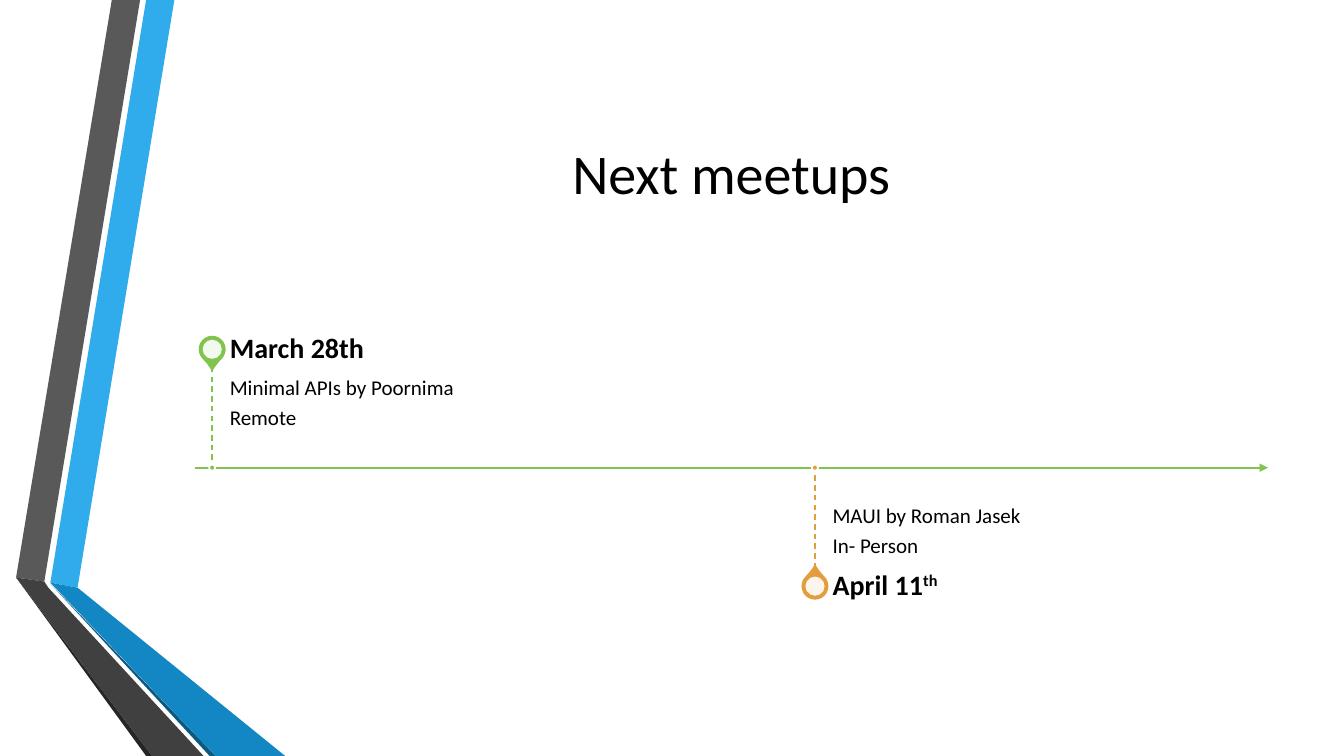
from lxml import etree
from pptx import Presentation
from pptx.dml.color import RGBColor
from pptx.enum.dml import MSO_LINE
from pptx.enum.shapes import MSO_CONNECTOR, MSO_SHAPE
from pptx.enum.text import MSO_ANCHOR, PP_ALIGN
from pptx.oxml.ns import qn
from pptx.util import Inches, Pt

LINE, OVAL, TEAR = MSO_CONNECTOR.STRAIGHT, MSO_SHAPE.OVAL, MSO_SHAPE.TEAR
DASH = MSO_LINE.DASH
TOP, MIDDLE, BOTTOM = MSO_ANCHOR.TOP, MSO_ANCHOR.MIDDLE, MSO_ANCHOR.BOTTOM
CENTER = PP_ALIGN.CENTER

BLACK = RGBColor(0x00, 0x00, 0x00)
WHITE = RGBColor(0xFF, 0xFF, 0xFF)
GREEN = RGBColor(0x80, 0xC3, 0x4F)
ORANGE = RGBColor(0xE2, 0x9D, 0x3E)
SKY = RGBColor(0x30, 0xAC, 0xEC)
BLUE = RGBColor(0x12, 0x87, 0xC3)
NAVY = RGBColor(0x0C, 0x5A, 0x82)
GRAY = RGBColor(0x59, 0x59, 0x59)
DARK = RGBColor(0x40, 0x40, 0x40)
COAL = RGBColor(0x26, 0x26, 0x26)
FONT = "Calibri"

# Lengths are cells of a square grid, ten to the inch.
WIDE, HIGH = 133.33, 75
LEFT, SPAN = 19.3, 106.5
AXIS = 46.4
STEM, HEAD = 10, 3.5
TEXT_GAP, TEXT_WIDE = 1.75, 38.7

RIBBONS = [
    (SKY, [(5, 57.8), (7.7, 58.3), (17.3, 0), (14.5, 0)]),
    (GRAY, [(13.9, 0), (11.1, 0), (1.6, 57.3), (4.4, 57.7)]),
    (COAL, [(1.6, 57.3), (14.5, HIGH), (15.1, HIGH)]),
    (NAVY, [(5, 57.9), (20.8, HIGH), (21.4, HIGH)]),
    (BLUE, [(5, 57.8), (21.4, HIGH), (28.3, HIGH), (7.7, 58.3)]),
    (DARK, [(20.2, HIGH), (4.8, 58.3), (4.4, 57.7), (1.6, 57.3),
            (15.1, HIGH)]),
]


def cell(*counts):
    return [Inches(n / 10) for n in counts]


def paint(shape, fill, edge=None):
    shape.shadow.inherit = False
    shape.fill.solid()
    shape.fill.fore_color.rgb = fill
    if edge is None:
        shape.line.fill.background()
    else:
        shape.line.color.rgb = edge
        shape.line.width = Pt(1.25)


def add_ribbon(slide, color, points):
    first, *rest = [cell(*point) for point in points]
    pen = slide.shapes.build_freeform(*first)
    pen.add_line_segments(rest)
    paint(pen.convert_to_shape(), color)


def add_disc(slide, kind, x, y, size, fill, edge=None):
    """Place a square shape by its centre."""
    box = cell(x - size / 2, y - size / 2, size, size)
    disc = slide.shapes.add_shape(kind, *box)
    paint(disc, fill, edge)
    return disc


def add_line(slide, start, end, color, width):
    line = slide.shapes.add_connector(LINE, *cell(*start, *end))
    line.line.color.rgb = color
    line.line.width = Pt(width)
    etree.SubElement(line._element.spPr, qn("a:effectLst"))
    return line


def add_text(slide, box, rows, size, anchor, insets, bold=False):
    """Write rows; a row is a list of runs, the second one raised."""
    frame = slide.shapes.add_textbox(*cell(*box)).text_frame
    frame.word_wrap = True
    frame.vertical_anchor = anchor
    (frame.margin_left, frame.margin_top,
     frame.margin_right, frame.margin_bottom) = cell(*insets)
    for i, row in enumerate(rows):
        para = frame.paragraphs[0] if i == 0 else frame.add_paragraph()
        para.line_spacing = 0.9
        para.space_after = Pt(size * 0.35)
        para.font.name, para.font.size = FONT, Pt(size)
        para.font.bold = bold
        para.font.color.rgb = BLACK
        for j, text in enumerate(row):
            run = para.add_run()
            run.text = text
            if j:
                run._r.get_or_add_rPr().set("baseline", "30000")


def add_pin(slide, x, y, turn, color):
    drop = add_disc(slide, TEAR, x, y, 2.5, color, color)
    drop.adjustments[0] = 1.15
    drop.rotation = turn
    hole = add_disc(slide, OVAL, x, y, 1.9, WHITE)
    tint = hole.fill._xPr.find(".//" + qn("a:srgbClr"))
    etree.SubElement(tint, qn("a:alpha")).set("val", "90000")


def add_event(slide, x, above, color, date, notes):
    """Hang one meetup above or below the axis."""
    side = -1 if above else 1
    tip = AXIS + side * STEM
    mid = tip + side * HEAD / 2
    left = x + TEXT_GAP
    add_pin(slide, x, mid, 135 if above else 315, color)
    add_text(slide, (left, min(AXIS, tip), TEXT_WIDE, STEM), notes, 15,
             TOP if above else BOTTOM,
             (0, 1, 0, 1.6) if above else (0, 1.6, 1, 1))
    add_text(slide, (left, mid - HEAD / 2, TEXT_WIDE, HEAD), [date], 20,
             MIDDLE, (0, 0, 1.4, 0), True)
    stem = add_line(slide, (x, tip), (x, AXIS), color, 1)
    stem.line.dash_style = DASH
    add_disc(slide, OVAL, x, AXIS, 0.6, color, WHITE)


def set_title(slide, text):
    title = slide.shapes.title
    title.left, title.top, title.width, title.height = cell(
        LEFT, 7.5, SPAN, 19.2)
    title.text_frame.text = text
    title.text_frame.vertical_anchor = MIDDLE
    para = title.text_frame.paragraphs[0]
    para.alignment = CENTER
    para.font.name, para.font.size = FONT, Pt(40)
    para.font.color.rgb = BLACK


def add_axis(slide):
    axis = add_line(slide, (LEFT, AXIS), (LEFT + SPAN, AXIS), GREEN, 1.5)
    tail = etree.SubElement(axis.line._get_or_add_ln(), qn("a:tailEnd"))
    tail.set("type", "triangle")


def main():
    deck = Presentation()
    deck.slide_width, deck.slide_height = cell(WIDE, HIGH)
    slide = deck.slides.add_slide(deck.slide_layouts[5])
    for color, points in RIBBONS:
        add_ribbon(slide, color, points)
    set_title(slide, "Next meetups")
    add_axis(slide)
    add_event(slide, 21.05, True, GREEN, ["March 28th"],
              [["Minimal APIs by Poornima"], ["Remote"]])
    add_event(slide, 80.85, False, ORANGE, ["April 11", "th"],
              [["MAUI by Roman Jasek"], ["In- Person"]])
    deck.save("out.pptx")


if __name__ == "__main__":
    main()
